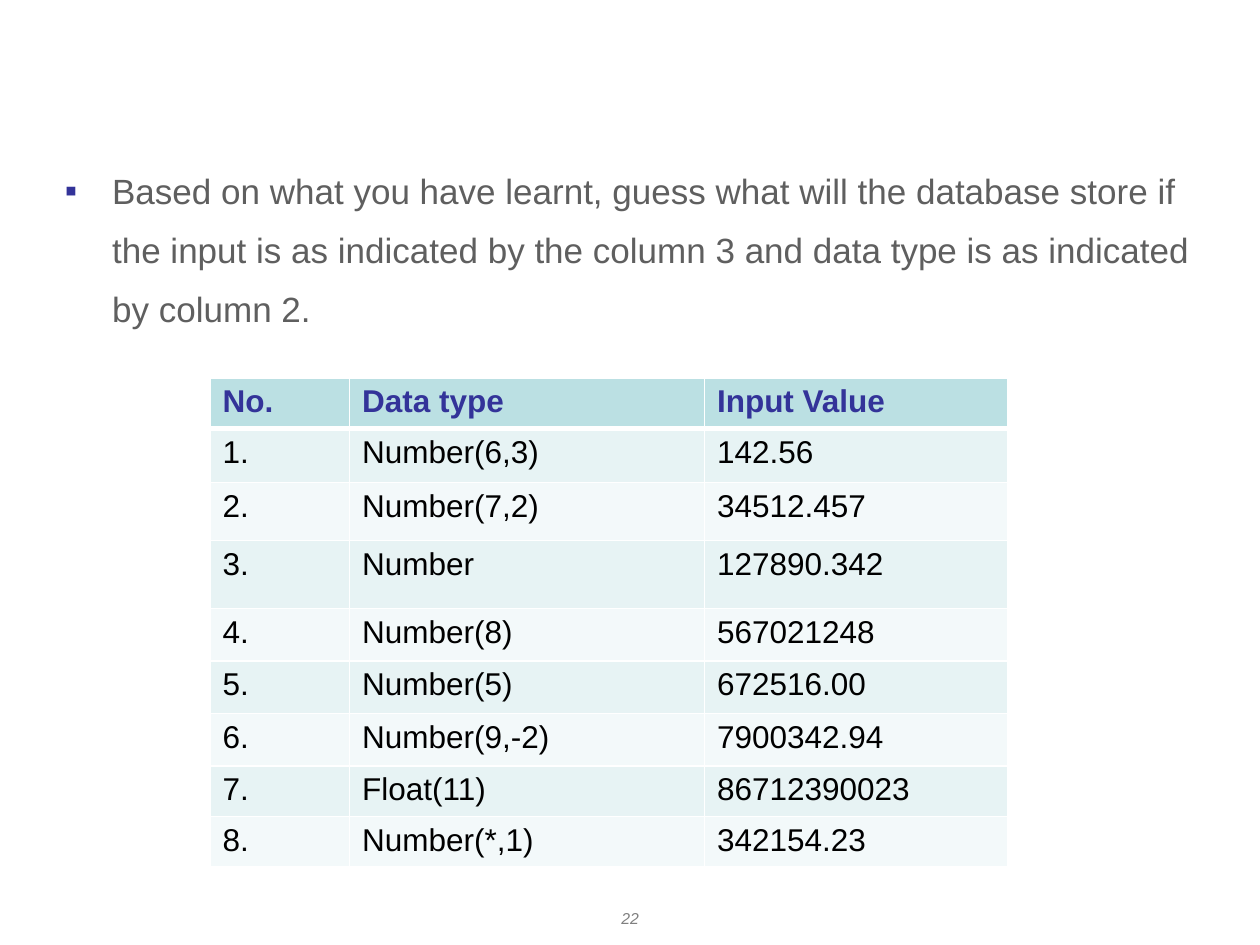
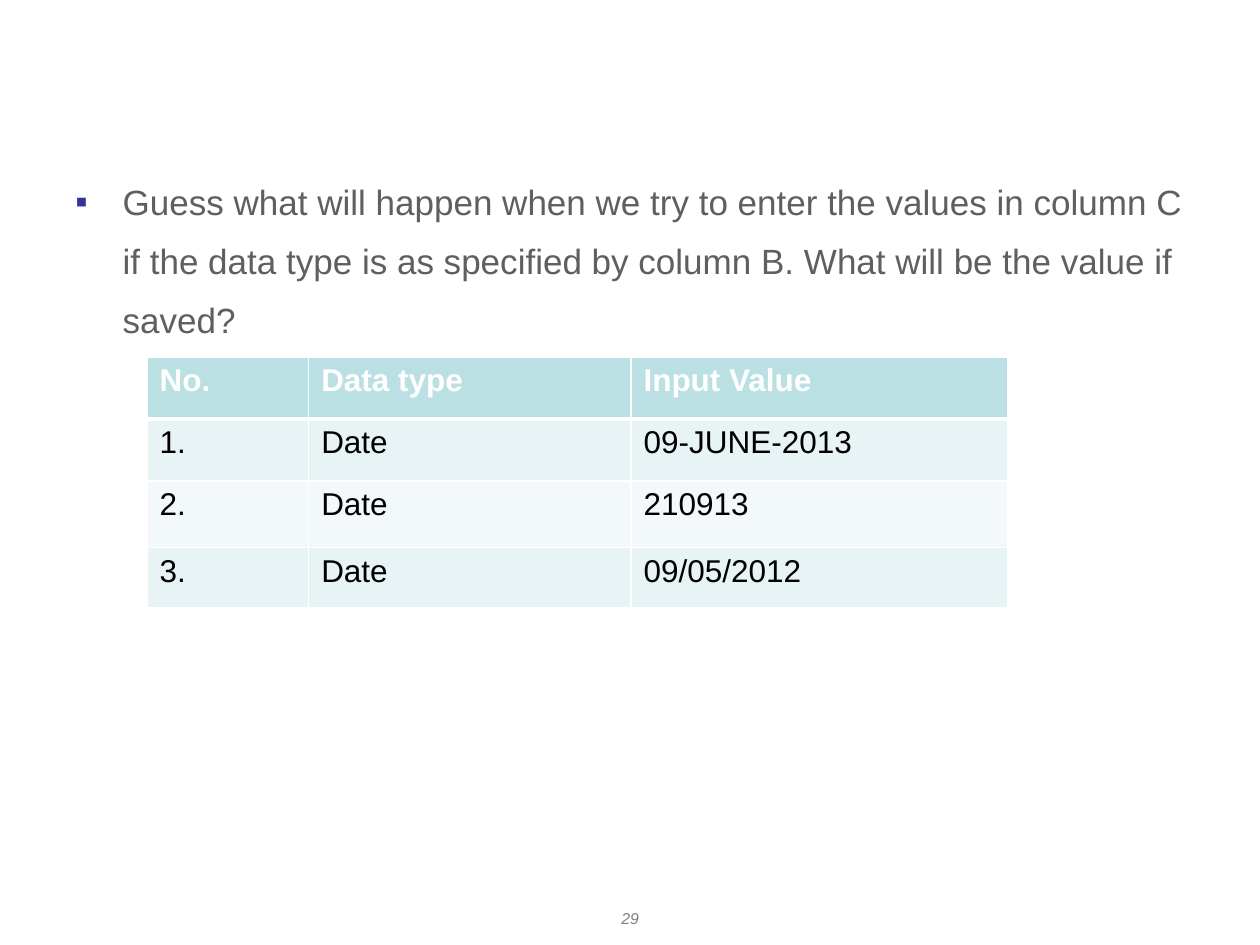
from dataclasses import dataclass

import lxml.etree
import pptx
import pptx.dml.color
import pptx.enum.text
import pptx.oxml.ns
import pptx.slide
import pptx.table
import pptx.text.text
import pptx.util

RGBColor = pptx.dml.color.RGBColor
qn = pptx.oxml.ns.qn

# Shared look
FONT = "Arial"
WHITE = RGBColor(0xFF, 0xFF, 0xFF)
BLACK = RGBColor(0x00, 0x00, 0x00)
INDIGO = RGBColor(0x33, 0x33, 0x99)
BODY_GREY = RGBColor(0x5F, 0x5F, 0x5F)
NUMBER_GREY = RGBColor(0x80, 0x80, 0x80)
HEADER_TEAL = RGBColor(0xBB, 0xE0, 0xE3)
ROW_TINTS = (RGBColor(0xE7, 0xF3, 0xF4), RGBColor(0xF3, 0xF9, 0xFA))
HEADINGS = ("No.", "Data type", "Input Value")

# The slide is a grid of 120 columns by 90 rows
SLIDE_WIDTH = pptx.util.Inches(10)
SLIDE_HEIGHT = pptx.util.Inches(7.5)
GRID_COLUMNS = 120
GRID_ROWS = 90
HANGING_INDENT = 4.5


@dataclass(frozen=True)
class Area:
    """A rectangle in grid columns and rows."""
    left: float
    top: float
    width: float
    height: float

    def lengths(self) -> tuple[int, int, int, int]:
        return (across(self.left), down(self.top),
                across(self.width), down(self.height))


@dataclass(frozen=True)
class Exercise:
    """A question with its table of data types and input values."""
    page: int
    question: str
    question_area: Area
    table_left: float
    table_top: float
    column_widths: tuple[float, ...]
    row_heights: tuple[float, ...]
    heading_color: RGBColor
    entries: tuple[tuple[str, str], ...]


PAGE_NUMBER_AREA = Area(46, 86, 28, 3)

EXERCISES = (
    Exercise(
        page=22,
        question="Based on what you have learnt, guess what will the database "
                 "store if the input is as indicated by the column 3 and data "
                 "type is as indicated by column 2.",
        question_area=Area(5, 14, 113, 14),
        table_left=20,
        table_top=36,
        column_widths=(13.3, 33.8, 28.9),
        row_heights=(4.55, 5.15, 5.5, 6.5, 5, 5, 5, 4.55, 4.55),
        heading_color=INDIGO,
        entries=(
            ("Number(6,3)", "142.56"),
            ("Number(7,2)", "34512.457"),
            ("Number", "127890.342"),
            ("Number(8)", "567021248"),
            ("Number(5)", "672516.00"),
            ("Number(9,-2)", "7900342.94"),
            ("Float(11)", "86712390023"),
            ("Number(*,1)", "342154.23"),
        ),
    ),
    Exercise(
        page=29,
        question="Guess what will happen when we try to enter the values in "
                 "column C if the data type is as specified by column B. What "
                 "will be the value if saved?",
        question_area=Area(6, 15, 109, 14),
        table_left=14,
        table_top=34,
        column_widths=(15.4, 30.7, 35.9),
        row_heights=(5.9, 5.9, 6.35, 5.75),
        heading_color=WHITE,
        entries=(
            ("Date", "09-JUNE-2013"),
            ("Date", "210913"),
            ("Date", "09/05/2012"),
        ),
    ),
)


def across(columns: float) -> int:
    return round(SLIDE_WIDTH * columns / GRID_COLUMNS)


def down(rows: float) -> int:
    return round(SLIDE_HEIGHT * rows / GRID_ROWS)


def add_run(paragraph: pptx.text.text._Paragraph, text: str, size: float,
            color: RGBColor, bold: bool = False, italic: bool = False) -> None:
    run = paragraph.add_run()
    run.text = text
    run.font.name = FONT
    run.font.size = pptx.util.Pt(size)
    run.font.bold = bold
    run.font.italic = italic
    run.font.color.rgb = color


def add_paragraph_box(slide: pptx.slide.Slide,
                      area: Area) -> pptx.text.text._Paragraph:
    frame = slide.shapes.add_textbox(*area.lengths()).text_frame
    frame.word_wrap = True
    return frame.paragraphs[0]


def add_bullet(paragraph: pptx.text.text._Paragraph) -> None:
    properties = paragraph._p.get_or_add_pPr()
    indent = across(HANGING_INDENT)
    properties.set("marL", str(indent))
    properties.set("indent", str(-indent))
    color = lxml.etree.SubElement(properties, qn("a:buClr"))
    lxml.etree.SubElement(color, qn("a:srgbClr"), val=str(INDIGO))
    lxml.etree.SubElement(properties, qn("a:buFont"), typeface=FONT)
    lxml.etree.SubElement(properties, qn("a:buChar"), char="▪")


def add_question(slide: pptx.slide.Slide, exercise: Exercise) -> None:
    question = add_paragraph_box(slide, exercise.question_area)
    question.line_spacing = 1.4
    question.space_before = pptx.util.Pt(4)
    add_bullet(question)
    add_run(question, exercise.question, 20, BODY_GREY)


def add_page_number(slide: pptx.slide.Slide, page: int) -> None:
    number = add_paragraph_box(slide, PAGE_NUMBER_AREA)
    number.alignment = pptx.enum.text.PP_ALIGN.CENTER
    add_run(number, str(page), 9, NUMBER_GREY, italic=True)


def set_borders(cell: pptx.table._Cell, top: float, bottom: float) -> None:
    properties = cell._tc.get_or_add_tcPr()
    for side, points in (("L", 1), ("R", 1), ("T", top), ("B", bottom)):
        border = lxml.etree.SubElement(properties, qn(f"a:ln{side}"),
                                       w=str(pptx.util.Pt(points)))
        fill = lxml.etree.SubElement(border, qn("a:solidFill"))
        lxml.etree.SubElement(fill, qn("a:srgbClr"), val=str(WHITE))


def add_input_table(slide: pptx.slide.Slide, exercise: Exercise) -> None:
    rows = [HEADINGS] + [(f"{number}.", *entry) for number, entry
                         in enumerate(exercise.entries, start=1)]
    area = Area(exercise.table_left, exercise.table_top,
                sum(exercise.column_widths), sum(exercise.row_heights))
    table = slide.shapes.add_table(len(rows), len(HEADINGS),
                                   *area.lengths()).table
    for column, width in zip(table.columns, exercise.column_widths):
        column.width = across(width)
    for row, height in zip(table.rows, exercise.row_heights):
        row.height = down(height)

    for row_index, texts in enumerate(rows):
        is_header = row_index == 0
        tint = HEADER_TEAL if is_header else ROW_TINTS[(row_index - 1) % 2]
        color = exercise.heading_color if is_header else BLACK
        for column_index, text in enumerate(texts):
            cell = table.cell(row_index, column_index)
            # A thick rule separates the header from the entries
            set_borders(cell, top=3 if row_index == 1 else 1,
                        bottom=3 if is_header else 1)
            cell.fill.solid()
            cell.fill.fore_color.rgb = tint
            add_run(cell.text_frame.paragraphs[0], text, 18, color,
                    bold=is_header)


def main() -> None:
    deck = pptx.Presentation()
    deck.slide_width = SLIDE_WIDTH
    deck.slide_height = SLIDE_HEIGHT
    blank_layout = deck.slide_layouts[6]
    for exercise in EXERCISES:
        slide = deck.slides.add_slide(blank_layout)
        add_question(slide, exercise)
        add_page_number(slide, exercise.page)
        add_input_table(slide, exercise)
    deck.save("out.pptx")


if __name__ == "__main__":
    main()
